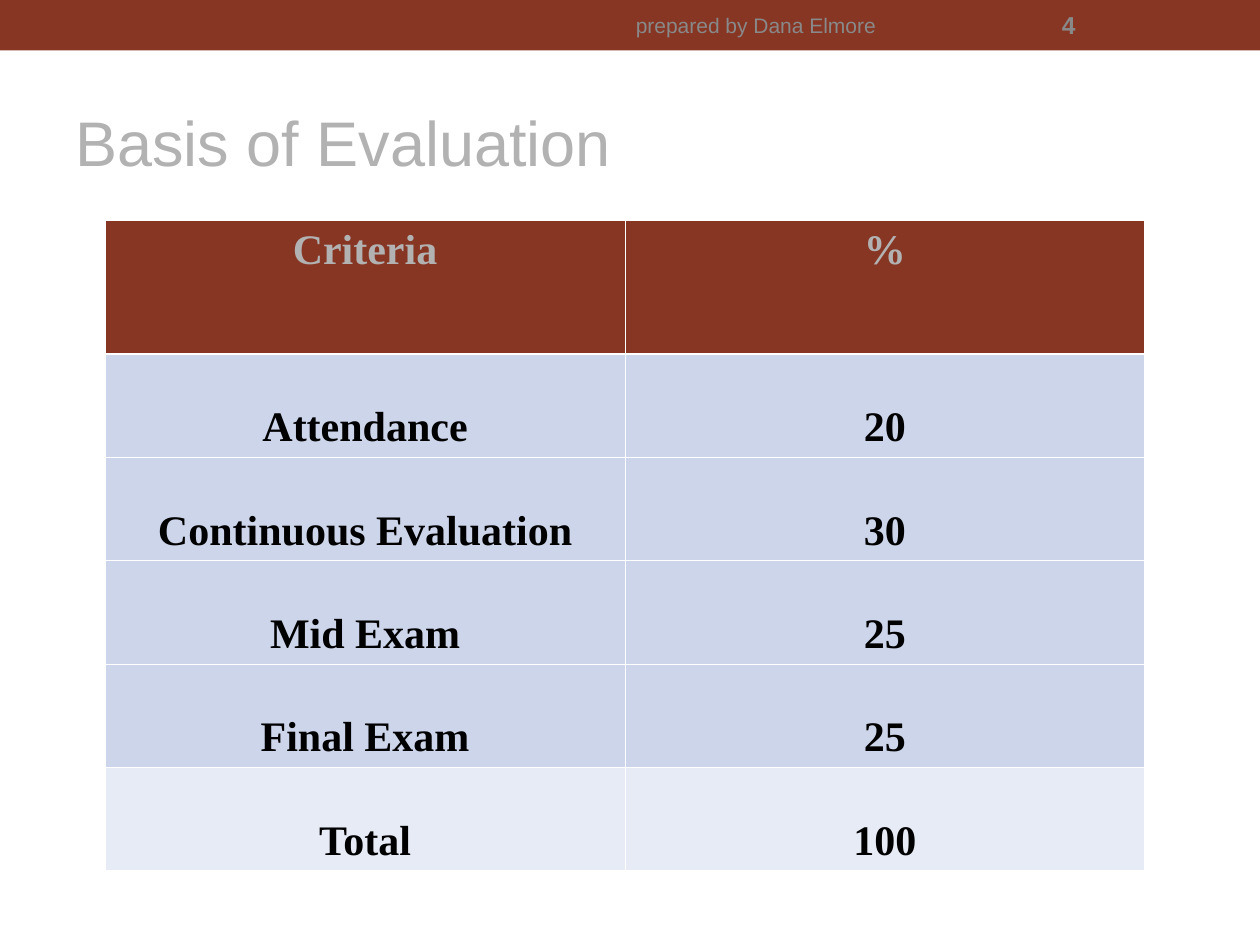
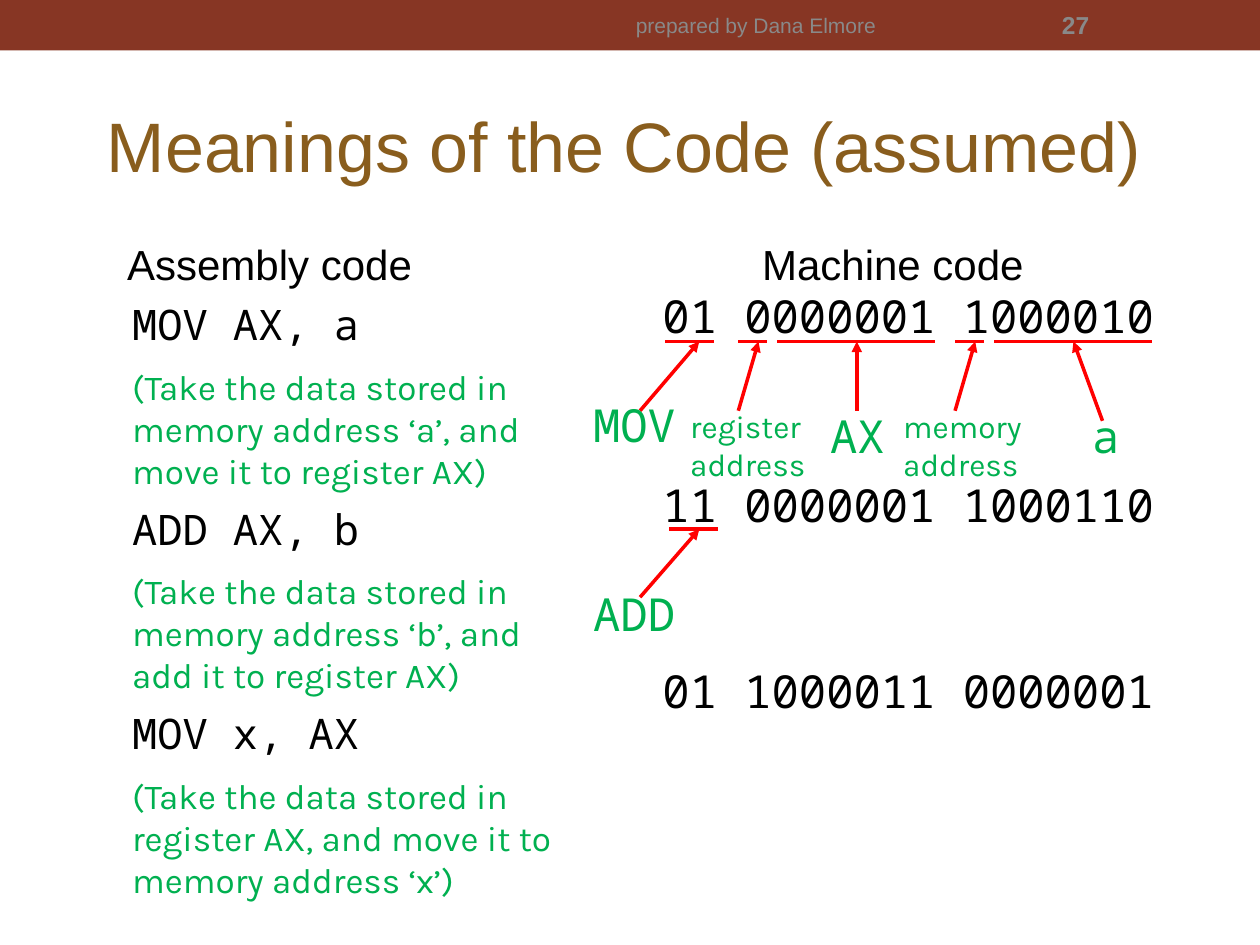
"""Build two course slides: the evaluation table and the meaning of machine code."""
import pptx
import pptx.dml.color
import pptx.enum.shapes
import pptx.enum.text
import pptx.oxml.ns
import pptx.util
from lxml import etree

RGB = pptx.dml.color.RGBColor
ALIGN = pptx.enum.text.PP_ALIGN
ANCHOR = pptx.enum.text.MSO_ANCHOR
Pt = pptx.util.Pt
qn = pptx.oxml.ns.qn

BRICK = RGB(0x87, 0x36, 0x24)
GREY = RGB(0x89, 0x89, 0x89)
SILVER = RGB(0xB2, 0xB2, 0xB2)
BROWN = RGB(0x89, 0x5D, 0x1D)
BLACK = RGB(0x00, 0x00, 0x00)
WHITE = RGB(0xFF, 0xFF, 0xFF)
GREEN = RGB(0x00, 0xB0, 0x50)
RED = RGB(0xFF, 0x00, 0x00)
BLUE = RGB(0xCC, 0xD5, 0xEA)
PALE = RGB(0xE7, 0xEB, 0xF5)

SANS, MONO, KARLA, SERIF = "Arial", "Noto Sans Mono", "Karla", "Times New Roman"

prs = pptx.Presentation()
prs.slide_width = pptx.util.Inches(10)
prs.slide_height = pptx.util.Inches(7.5)
COL = prs.slide_width // 100
ROW = prs.slide_height // 75


def add_text(s, box, lines, font, size, color, bold=False, align=ALIGN.LEFT,
             anchor=ANCHOR.TOP, wrap=True):
    """Add a text box placed in grid columns and rows."""
    left, top, width, height = box
    sp = s.shapes.add_textbox(int(left * COL), int(top * ROW), int(width * COL), int(height * ROW))
    tf = sp.text_frame
    tf.text = lines
    tf.word_wrap = wrap
    tf.vertical_anchor = anchor
    for p in tf.paragraphs:
        p.alignment = align
        for r in p.runs:
            r.font.name, r.font.size, r.font.bold = font, Pt(size), bold
            r.font.color.rgb = color
    return tf


def add_line(s, x1, y1, x2, y2, arrow=False):
    """Add a red line, with an arrowhead at its end if asked."""
    cn = s.shapes.add_connector(pptx.enum.shapes.MSO_CONNECTOR.STRAIGHT,
                                int(x1 * COL), int(y1 * ROW), int(x2 * COL), int(y2 * ROW))
    cn.line.color.rgb = RED
    cn.line.width = Pt(2)
    if arrow:
        etree.SubElement(cn.line._get_or_add_ln(), qn("a:tailEnd"), type="triangle")
    etree.SubElement(cn._element.spPr, qn("a:effectLst"))


titles = [
    ("4", "Basis of Evaluation", (5, 5.8, 90, 10.8), 36, SILVER),
    ("27", "Meanings of the Code (assumed)", (7.5, 7, 85, 9), 40, BROWN),
]
for number, title, box, size, color in titles:
    s = prs.slides.add_slide(prs.slide_layouts[6])
    sp = s.shapes.add_shape(pptx.enum.shapes.MSO_SHAPE.RECTANGLE, 0, 0, prs.slide_width, 4 * ROW)
    sp.shadow.inherit = False
    sp.fill.solid()
    sp.fill.fore_color.rgb = BRICK
    sp.line.fill.background()
    add_text(s, box, title, SANS, size, color, anchor=ANCHOR.MIDDLE)
    add_text(s, (37.5, 0.2, 45, 3.6), "prepared by Dana Elmore", SANS, 12, GREY,
             align=ALIGN.CENTER, anchor=ANCHOR.MIDDLE)
    add_text(s, (83.3, 0.2, 11.7, 3.6), number, SANS, 14, GREY, bold=True, anchor=ANCHOR.MIDDLE)

evaluation, code = prs.slides

criteria = [
    ("Criteria", "%"),
    ("Attendance", "20"),
    ("Continuous Evaluation", "30"),
    ("Mid Exam", "25"),
    ("Final Exam", "25"),
    ("Total", "100"),
]
last = len(criteria) - 1
table = evaluation.shapes.add_table(len(criteria), 2, int(8.35 * COL), int(17.5 * ROW),
                                    int(82.5 * COL), int(51.6 * ROW)).table
for column in table.columns:
    column.width = int(41.25 * COL)
for i, row in enumerate(criteria):
    table.rows[i].height = int((8.2 if i else 10.6) * ROW)
    for j, value in enumerate(row):
        cell = table.cell(i, j)
        cell.text_frame.text = value
        cell.vertical_anchor = ANCHOR.BOTTOM if i else ANCHOR.TOP
        p = cell.text_frame.paragraphs[0]
        p.alignment = ALIGN.CENTER
        f = p.runs[0].font
        f.name, f.size, f.bold = SERIF, Pt(24), True
        f.color.rgb = BLACK if i else SILVER
        for side in ("lnL", "lnR", "lnT", "lnB"):
            under_header = (i, side) in ((0, "lnB"), (1, "lnT"))
            ln = etree.SubElement(cell._tc.get_or_add_tcPr(), qn("a:" + side),
                                  w=str(Pt(1.47 if under_header else 0.45)))
            fill = etree.SubElement(ln, qn("a:solidFill"))
            etree.SubElement(fill, qn("a:srgbClr"), val=str(WHITE))
        cell.fill.solid()
        cell.fill.fore_color.rgb = BRICK if i == 0 else PALE if i == last else BLUE

assembly = [
    "Assembly code",
    "MOV AX, a",
    "(Take the data stored in\vmemory address ‘a’, and\vmove it to register AX)",
    "ADD AX, b",
    "(Take the data stored in\vmemory address ‘b’, and\vadd it to register AX)",
    "MOV x, AX",
    "(Take the data stored in\vregister AX, and move it to\vmemory address ‘x’)",
]
tf = add_text(code, (7.5, 18.4, 42.5, 54.1), "\n".join(assembly), SANS, 24, BLACK)
for i, p in enumerate(tf.paragraphs):
    pPr = p._p.get_or_add_pPr()
    pPr.set("marL", str(int((2 if i else 1.6) * COL)))
    pPr.set("indent", "0")
    if i == 0:
        continue
    note = i % 2 == 0
    p.space_before = Pt(9 if note else 6 if i == 1 else 7)
    for r in p.runs:
        r.font.name = KARLA if note else MONO
        r.font.size = Pt(20 if note else 24)
        r.font.color.rgb = GREEN if note else BLACK

add_text(code, (59.5, 18.4, 33, 5), "Machine code", SANS, 24, BLACK)
machine = [(22.4, "01 0000001 1000010"), (37.4, "11 0000001 1000110"), (52.1, "01 1000011 0000001")]
for top, bits in machine:
    add_text(code, (51.6, top, 43, 5.4), bits, MONO, 26, BLACK)

underlines = [(52.8, 56.7, 27.1), (58.6, 60.9, 27.1), (61.7, 74.2, 27.1),
              (75.8, 78.1, 27.1), (78.9, 91.4, 27.1), (53.1, 57, 42)]
for x1, x2, y in underlines:
    add_line(code, x1, y, x2, y)

arrows = [(50.8, 32.6, 55.5, 27.1), (58.6, 32.6, 60.2, 27.1), (68, 32.6, 68, 27.1),
          (75.8, 32.6, 77.4, 27.1), (87.5, 33.4, 85.2, 27.1), (50.8, 47.4, 55.5, 42)]
for ends in arrows:
    add_line(code, *ends, arrow=True)

operands = [(46.1, 31, 8.6, "MOV"), (64.9, 31.9, 6.8, "AX"),
            (85.7, 31.9, 4.4, "a"), (46.1, 46, 8.6, "ADD")]
for left, top, width, name in operands:
    add_text(code, (left, top, width, 5.4), name, MONO, 26, GREEN, wrap=False)

for left, width, kind in [(53.8, 11.3, "register"), (70.7, 11.9, "memory")]:
    add_text(code, (left, 31.8, width, 7), kind + "\naddress", KARLA, 18, GREEN, wrap=False)

prs.save("out.pptx")
